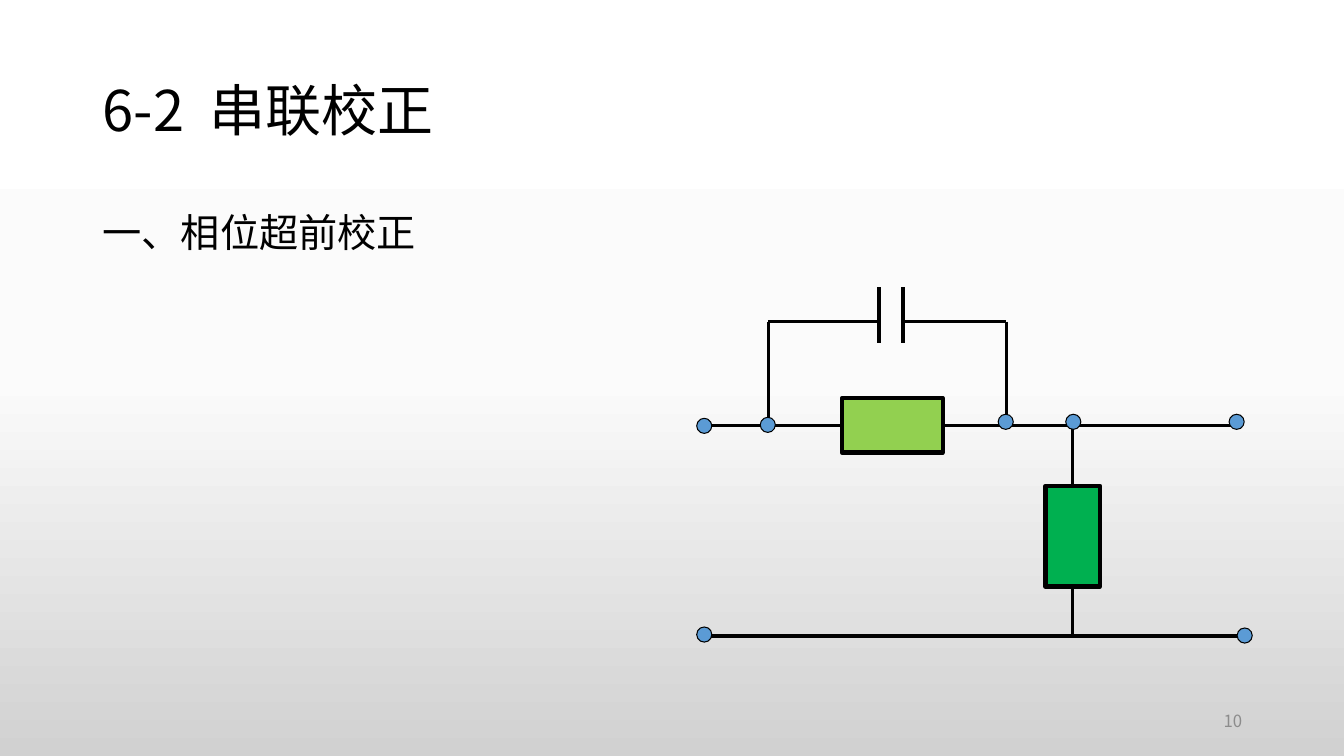
from copy import deepcopy

from lxml import etree
from pptx import Presentation
from pptx import util as u
from pptx.dml.color import RGBColor
from pptx.enum import shapes, text
from pptx.oxml.ns import qn

COLORS = {
    "ink": "000000", "muted": "8C8C8C", "node": "5B9BD5",
    "series": "92D050", "shunt": "00B050",
    "top": "FFFFFF", "middle": "FBFBFB", "bottom": "D1D1D1",
}
FONT = "Noto Sans CJK SC"
TOP, LEFT, BOTTOM, RIGHT = range(4)


def rgb(name):
    return RGBColor.from_string(COLORS[name])


def write(para, words, size=28, color="ink", tracking=None):
    span = para.add_run()
    span.text = words
    span.font.size = u.Pt(size)
    span.font.color.rgb = rgb(color)
    span.font.name = FONT
    props = span.font._element
    etree.SubElement(props, qn("a:ea")).set("typeface", FONT)
    if tracking:
        props.set("spc", str(tracking * 100))


class CircuitSlide:
    def __init__(self, deck):
        self.page = deck.slides.add_slide(deck.slide_layouts[5])
        self.circuit = None

    def background(self):
        fill = self.page.background.fill
        fill.gradient()
        fill.gradient_angle = 270
        stops = next(self.page._element.iter(qn("a:gsLst")))
        stops.insert(1, deepcopy(stops[0]))
        for stop, name, place in zip(fill.gradient_stops,
                                     ("top", "middle", "bottom"), (0, 0.5, 1)):
            stop.color.rgb = rgb(name)
            stop.position = place

    def title(self, number, words):
        box = self.page.shapes.title
        box.left, box.top, box.width, box.height = map(
            u.Inches, (0.92, 0.4, 11.5, 1.45))
        frame = box.text_frame
        frame.auto_size = text.MSO_AUTO_SIZE.NONE
        frame.vertical_anchor = text.MSO_ANCHOR.MIDDLE
        para = frame.paragraphs[0]
        para.alignment = text.PP_ALIGN.LEFT
        para.line_spacing = 0.9
        write(para, number, size=40)
        write(para, " ", size=40, tracking=9)
        write(para, words, size=40)

    def label(self, words, place, align=text.PP_ALIGN.LEFT,
              anchor=text.MSO_ANCHOR.TOP, wrap=True, **style):
        box = self.page.shapes.add_textbox(*map(u.Inches, place))
        frame = box.text_frame
        frame.word_wrap = wrap
        frame.vertical_anchor = anchor
        if not wrap:
            frame.auto_size = text.MSO_AUTO_SIZE.SHAPE_TO_FIT_TEXT
        para = frame.paragraphs[0]
        para.alignment = align
        write(para, words, **style)

    def start_circuit(self):
        self.circuit = self.page.shapes.add_group_shape().shapes

    def component(self, kind, place, fill, weight):
        shape = self.circuit.add_shape(kind, *map(u.Inches, place))
        shape.shadow.inherit = False
        shape.fill.solid()
        shape.fill.fore_color.rgb = rgb(fill)
        shape.line.color.rgb = rgb("ink")
        shape.line.width = u.Pt(weight)
        return shape

    def resistor(self, place, fill):
        return self.component(shapes.MSO_SHAPE.RECTANGLE, place, fill, 3)

    def node(self, left, top):
        self.component(shapes.MSO_SHAPE.FLOWCHART_CONNECTOR,
                       (left, top, 0.15, 0.15), "node", 0.75)

    def wire(self, x1, y1, x2, y2, weight=2.25, begin=None, end=None):
        line = self.circuit.add_connector(
            shapes.MSO_CONNECTOR.STRAIGHT, *map(u.Inches, (x1, y1, x2, y2)))
        line.line.color.rgb = rgb("ink")
        line.line.width = u.Pt(weight)
        etree.SubElement(line._element.spPr, qn("a:effectLst"))
        if begin:
            line.begin_connect(*begin)
        if end:
            line.end_connect(*end)


def main():
    deck = Presentation()
    deck.slide_width, deck.slide_height = u.Inches(13.33), u.Inches(7.5)
    slide = CircuitSlide(deck)
    slide.background()

    # Headings and page number
    slide.label("10", (9.42, 6.95, 3, 0.4), align=text.PP_ALIGN.RIGHT,
                anchor=text.MSO_ANCHOR.MIDDLE, size=12, color="muted")
    slide.title("6-2", "串联校正")
    slide.label("一、相位超前校正", (0.92, 2.02, 3.34, 0.57), wrap=False)

    # Resistors
    slide.start_circuit()
    series = slide.resistor((8.35, 3.95, 1, 0.54), "series")
    shunt = slide.resistor((10.37, 4.82, 0.54, 1), "shunt")

    # Main rails and shunt branch
    rail, ground, branch = 4.22, 6.31, 10.64
    slide.wire(6.99, rail, 8.35, rail, end=(series, LEFT))
    slide.wire(9.35, rail, 12.27, rail, begin=(series, RIGHT))
    slide.wire(branch, rail, branch, 4.82, end=(shunt, TOP))
    slide.wire(branch, 5.82, branch, ground, begin=(shunt, BOTTOM))
    slide.wire(6.97, ground, 12.35, ground)

    # Capacitor loop: plate, lead and drop on each side
    loop = 3.19
    for plate, corner in ((8.72, 7.62), (8.96, 9.98)):
        slide.wire(plate, 2.85, plate, 3.4, weight=3)
        slide.wire(plate, loop, corner, loop)
        slide.wire(corner, loop, corner, rail)

    # Terminals and junctions
    for left, top in ((6.91, 4.15), (6.91, 6.22), (9.9, 4.11), (7.54, 4.14),
                      (12.27, 6.23), (12.19, 4.11), (10.57, 4.11)):
        slide.node(left, top)

    deck.save("out.pptx")


if __name__ == "__main__":
    main()
